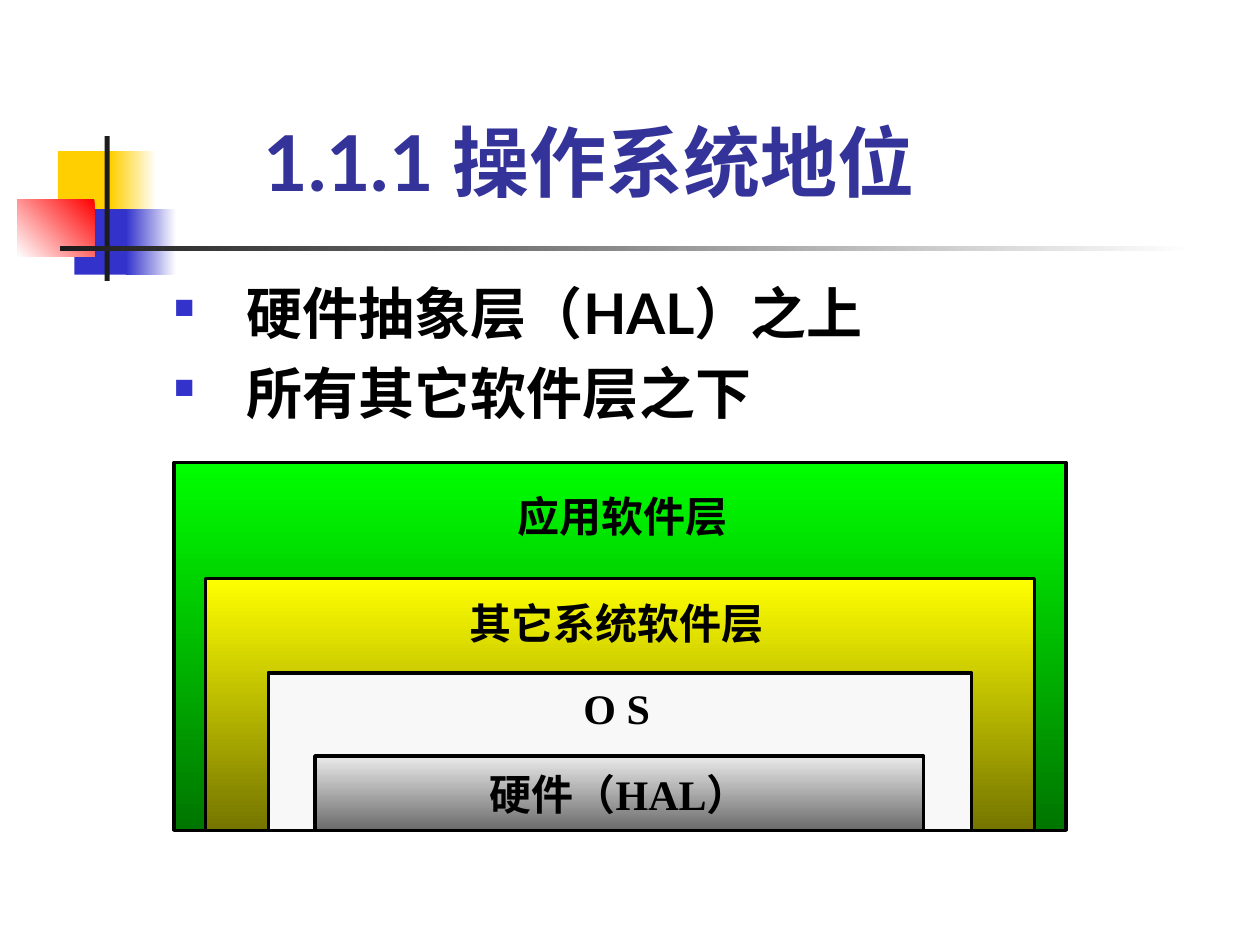
from lxml import etree
from pptx import Presentation
from pptx.dml.color import RGBColor
from pptx.enum.shapes import MSO_SHAPE
from pptx.enum.text import MSO_ANCHOR, MSO_AUTO_SIZE, PP_ALIGN
from pptx.oxml.ns import qn
from pptx.util import Inches, Pt

RECT = MSO_SHAPE.RECTANGLE
TOP, MIDDLE, BOTTOM = MSO_ANCHOR.TOP, MSO_ANCHOR.MIDDLE, MSO_ANCHOR.BOTTOM
GROW, FIXED = MSO_AUTO_SIZE.SHAPE_TO_FIT_TEXT, MSO_AUTO_SIZE.NONE
LEFT, CENTER = PP_ALIGN.LEFT, PP_ALIGN.CENTER

BLACK = RGBColor(0x00, 0x00, 0x00)
WHITE = RGBColor(0xFF, 0xFF, 0xFF)
GOLD = RGBColor(0xFF, 0xCF, 0x01)
BLUE = RGBColor(0x33, 0x33, 0xCC)
RED = RGBColor(0xFF, 0x00, 0x00)
CHARCOAL = RGBColor(0x1C, 0x1C, 0x1C)
TITLE_BLUE = RGBColor(0x33, 0x33, 0x99)
GREEN = RGBColor(0x00, 0xFF, 0x00)
DARK_GREEN = RGBColor(0x00, 0x75, 0x00)
YELLOW = RGBColor(0xFF, 0xFF, 0x00)
OLIVE = RGBColor(0x75, 0x75, 0x00)
OFF_WHITE = RGBColor(0xF8, 0xF8, 0xF8)
LIGHT_GRAY = RGBColor(0xEA, 0xEA, 0xEA)
DARK_GRAY = RGBColor(0x6B, 0x6B, 0x6B)

TITLE_FONT = {"name": "Lato", "size": Pt(44), "bold": True}
BODY_FONT = {"name": "Lato", "size": Pt(32), "bold": True}
LABEL_FONT = {"name": "Times New Roman", "size": Pt(24), "bold": True}

# left, top, width, height, colours from start to end, clockwise angle
ORNAMENTS = [
    (0.46, 1.2, 0.48, 0.52, [GOLD], 0),
    (0.88, 1.2, 0.36, 0.52, [WHITE, GOLD], 180),
    (0.59, 1.66, 0.46, 0.52, [BLUE], 0),
    (1, 1.66, 0.4, 0.52, [WHITE, BLUE], 180),
    (0.14, 1.58, 0.61, 0.46, [RED, WHITE], 135),
    (0.83, 1.08, 0.04, 1.15, [CHARCOAL], 0),
    (0.48, 1.95, 9, 0.04, [WHITE, CHARCOAL], 180),
]

# left, top, width, colours; every layer stands on the same base line
LAYER_BASE = 6.59
LAYERS = [
    (1.38, 3.67, 7.08, [GREEN, DARK_GREEN]),
    (1.63, 4.59, 6.58, [YELLOW, OLIVE]),
    (2.13, 5.34, 5.58, [OFF_WHITE]),
    (2.5, 6, 4.83, [LIGHT_GRAY, DARK_GRAY]),
]

# text, left, top, width, height, horizontal and vertical inset
LABELS = [
    ("O S", 4.63, 5.42, 0.65, 0.4, 0, 0),
    ("其它系统软件层", 3.63, 4.69, 2.56, 0.5, 0.1, 0.05),
    ("应用软件层", 4.01, 3.84, 1.92, 0.5, 0.1, 0.05),
]


def set_attributes(target, values):
    for name, value in values.items():
        setattr(target, name, value)


def add_rect(slide, box, colors, angle=0, outlined=False):
    """Add a rectangle with a solid fill, or a gradient if two colours are given."""
    sp = slide.shapes.add_shape(RECT, *map(Inches, box))
    sp.shadow.inherit = False
    if len(colors) == 1:
        sp.fill.solid()
        sp.fill.fore_color.rgb = colors[0]
    else:
        sp.fill.gradient()
        sp.fill.gradient_angle = 360 - angle
        for stop, color in zip(sp.fill.gradient_stops, colors):
            stop.color.rgb = color
    if outlined:
        sp.line.color.rgb = BLACK
        sp.line.width = Pt(2)
    else:
        sp.line.fill.background()
    return sp


def set_frame(tf, inset_x=0, inset_y=0, wrap=True, anchor=TOP, size=FIXED):
    x, y = Inches(inset_x), Inches(inset_y)
    set_attributes(tf, {
        "margin_left": x, "margin_right": x, "margin_top": y, "margin_bottom": y,
        "word_wrap": wrap, "vertical_anchor": anchor, "auto_size": size,
    })


def write(p, text, font, color=BLACK, align=LEFT):
    p.alignment = align
    r = p.add_run()
    r.text = text
    set_attributes(r.font, font)
    r.font.color.rgb = color


def add_text(slide, box):
    return slide.shapes.add_textbox(*map(Inches, box)).text_frame


def add_bullet(p):
    """Give a paragraph a small blue square and a hanging indent."""
    pPr = p._p.get_or_add_pPr()
    indent = Inches(0.58)
    pPr.set("marL", str(indent))
    pPr.set("indent", str(-indent))
    color = etree.SubElement(pPr, qn("a:buClr"))
    etree.SubElement(color, qn("a:srgbClr")).set("val", str(BLUE))
    etree.SubElement(pPr, qn("a:buSzPct")).set("val", "50000")
    etree.SubElement(pPr, qn("a:buChar")).set("char", "■")


def add_title(slide, text):
    tf = add_text(slide, (2.09, 0.91, 5.51, 0.73))
    set_frame(tf, anchor=BOTTOM, size=GROW)
    write(tf.paragraphs[0], text, TITLE_FONT, TITLE_BLUE)


def add_bullets(slide, lines):
    tf = add_text(slide, (1.38, 2.1, 6.3, 1.28))
    set_frame(tf)
    for i, line in enumerate(lines):
        p = tf.add_paragraph() if i else tf.paragraphs[0]
        add_bullet(p)
        p.line_spacing = 1.2
        write(p, line, BODY_FONT)


def add_layers(slide):
    for left, top, width, colors in LAYERS:
        box = (left, top, width, LAYER_BASE - top)
        sp = add_rect(slide, box, colors, 90, outlined=True)
    hardware = sp.text_frame
    set_frame(hardware, 0.1, 0.05, wrap=False, anchor=MIDDLE)
    write(hardware.paragraphs[0], "硬件（HAL）", LABEL_FONT, align=CENTER)
    for text, left, top, width, height, inset_x, inset_y in LABELS:
        tf = add_text(slide, (left, top, width, height))
        set_frame(tf, inset_x, inset_y, wrap=False)
        write(tf.paragraphs[0], text, LABEL_FONT)


def main():
    prs = Presentation()
    prs.slide_width, prs.slide_height = Inches(10), Inches(7.5)
    slide = prs.slides.add_slide(prs.slide_layouts[6])
    for *box, colors, angle in ORNAMENTS:
        add_rect(slide, box, colors, angle)
    add_title(slide, "1.1.1 操作系统地位")
    add_bullets(slide, ["硬件抽象层（HAL）之上", "所有其它软件层之下"])
    add_layers(slide)
    prs.save("out.pptx")


if __name__ == "__main__":
    main()
